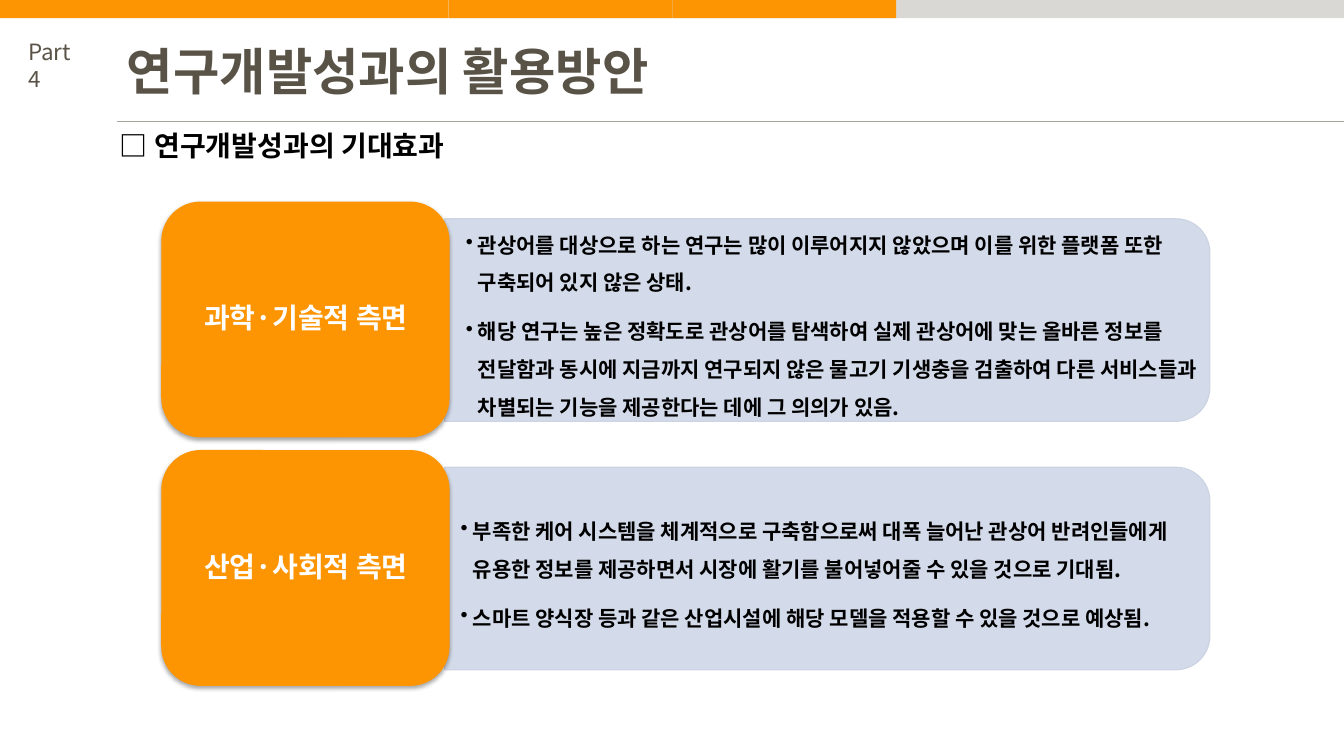
from dataclasses import dataclass

from lxml import etree
from pptx import Presentation
from pptx import util as u
from pptx.dml.color import RGBColor
from pptx.enum import shapes, text
from pptx.oxml import ns

Inches, Pt = u.Inches, u.Pt


@dataclass(frozen=True)
class Theme:
    font: str = "Noto Sans CJK KR"
    accent: str = "FD9401"
    track: str = "D9D8D5"
    heading: str = "595347"
    rule: str = "A6A39C"
    panel: str = "CFD7E7"
    panel_edge: str = "C9D1E1"
    black: str = "000000"
    white: str = "FFFFFF"
    title_size: int = 36
    label_size: int = 20
    part_size: int = 16
    body_size: int = 15


THEME = Theme()

ASPECTS = [
    ("과학·기술적 측면", 4.56, 7.38, [
        "관상어를 대상으로 하는 연구는 많이 이루어지지 않았으며 이를 위한 플랫폼 또한 "
        "구축되어 있지 않은 상태.",
        "해당 연구는 높은 정확도로 관상어를 탐색하여 실제 관상어에 맞는 올바른 정보를 "
        "전달함과 동시에 지금까지 연구되지 않은 물고기 기생충을 검출하여 다른 "
        "서비스들과 차별되는 기능을 제공한다는 데에 그 의의가 있음.",
    ]),
    ("산업·사회적 측면", 4.51, 7.42, [
        "부족한 케어 시스템을 체계적으로 구축함으로써 대폭 늘어난 관상어 반려인들에게 "
        "유용한 정보를 제공하면서 시장에 활기를 불어넣어줄 수 있을 것으로 기대됨.",
        "스마트 양식장 등과 같은 산업시설에 해당 모델을 적용할 수 있을 것으로 예상됨.",
    ]),
]


def rgb(color):
    return RGBColor.from_string(color)


def add_xml(parent, tag, **attributes):
    return etree.SubElement(parent, ns.qn(tag), attributes)


def add_alpha(fill, percent):
    """Make a solid fill partly transparent."""
    color = fill._xPr.find(ns.qn("a:solidFill"))[0]
    add_xml(color, "a:alpha", val=str(percent * 1000))


def add_block(slide, kind, left, top, width, height, color):
    shape = slide.shapes.add_shape(
        kind, Inches(left), Inches(top), Inches(width), Inches(height))
    shape.shadow.inherit = False
    shape.fill.solid()
    shape.fill.fore_color.rgb = rgb(color)
    shape.line.fill.background()
    return shape


def style_paragraph(paragraph, size, color, bold):
    font = paragraph.font
    font.name = THEME.font
    font.size = Pt(size)
    font.bold = bold
    font.color.rgb = rgb(color)
    add_xml(font._rPr, "a:ea", typeface=THEME.font)


def add_bullet(paragraph):
    properties = paragraph._p.get_or_add_pPr()
    properties.set("marL", str(Inches(0.12)))
    properties.set("indent", str(-Inches(0.12)))
    color = add_xml(properties, "a:buClr")
    add_xml(color, "a:srgbClr", val=THEME.black)
    add_xml(properties, "a:buChar", char="•")


def add_text(slide, lines, left, top, width, height, size, color, bold=True,
             wrap=True, spacing=None, insets=(0.1, 0.05), middle=False,
             centered=False, bullets=False):
    box = slide.shapes.add_textbox(
        Inches(left), Inches(top), Inches(width), Inches(height))
    frame = box.text_frame
    frame.word_wrap = wrap
    frame.margin_left = frame.margin_right = Inches(insets[0])
    frame.margin_top = frame.margin_bottom = Inches(insets[1])
    if middle:
        frame.vertical_anchor = text.MSO_ANCHOR.MIDDLE
    for index, line in enumerate(lines):
        paragraph = frame.add_paragraph() if index else frame.paragraphs[0]
        paragraph.text = line
        if bullets:
            add_bullet(paragraph)
        if spacing:
            paragraph.line_spacing = spacing
        if index:
            paragraph.space_before = Pt(8)
        if centered:
            paragraph.alignment = text.PP_ALIGN.CENTER
        style_paragraph(paragraph, size, color, bold)


def add_progress_bar(slide):
    rectangle = shapes.MSO_SHAPE.RECTANGLE
    add_block(slide, rectangle, 4.45, 0, 8.88, 0.18, THEME.track)
    for step in range(4):
        add_block(slide, rectangle, step * 2.223, 0, 2.22, 0.18, THEME.accent)


def add_rule(slide):
    rule = slide.shapes.add_connector(
        shapes.MSO_CONNECTOR.STRAIGHT,
        Inches(1.16), Inches(1.2), Inches(13.33), Inches(1.2))
    rule.line.color.rgb = rgb(THEME.rule)
    rule.line.width = Pt(0.5)
    add_xml(rule._element.spPr, "a:effectLst")


def add_panel(slide, top):
    """Panel rounded on its right side: a top-rounded shape turned 90°."""
    length, thickness = 7.59, 2.01
    center_x, center_y = 8.205, top + 1.175
    panel = add_block(slide, shapes.MSO_SHAPE.ROUND_2_SAME_RECTANGLE,
                      center_x - thickness / 2, center_y - length / 2,
                      thickness, length, THEME.panel)
    panel.rotation = 90
    panel.adjustments[0] = 0.167
    panel.line.color.rgb = rgb(THEME.panel_edge)
    panel.line.width = Pt(0.75)
    add_alpha(panel.fill, 90)
    add_alpha(panel.line.fill, 90)


def add_label(slide, label, top):
    card = add_block(slide, shapes.MSO_SHAPE.ROUNDED_RECTANGLE,
                     1.6, top, 2.86, 2.34, THEME.accent)
    card.adjustments[0] = 0.167
    effects = card._element.spPr.find(ns.qn("a:effectLst"))
    shadow = add_xml(effects, "a:outerShdw", blurRad=str(Pt(3.1)),
                     dist=str(Pt(1.8)), dir="5400000", rotWithShape="0")
    color = add_xml(shadow, "a:srgbClr", val=THEME.black)
    add_xml(color, "a:alpha", val="35000")
    add_text(slide, [label], 1.66, top + 0.11, 2.75, 2.12, THEME.label_size,
             THEME.white, spacing=0.9, insets=(0.07, 0.04), middle=True,
             centered=True)


def main():
    presentation = Presentation()
    presentation.slide_width = Inches(13.33)
    presentation.slide_height = Inches(7.5)
    slide = presentation.slides.add_slide(presentation.slide_layouts[6])

    # Header
    add_progress_bar(slide)
    add_text(slide, ["Part 4"], 0.18, 0.33, 0.74, 0.37, THEME.part_size,
             THEME.heading, bold=False)
    add_text(slide, ["연구개발성과의 활용방안"], 1.16, 0.35, 5.51, 0.71,
             THEME.title_size, THEME.heading, wrap=False)
    add_rule(slide)
    add_text(slide, ["□ 연구개발성과의 기대효과"], 1.09, 1.06, 11.49, 0.61,
             THEME.label_size, THEME.black, spacing=1.5)

    # Expected effects, one row per aspect
    for row, (label, left, width, effects) in enumerate(ASPECTS):
        top = 2 + row * 2.465
        add_panel(slide, top)
        add_text(slide, effects, left, top + 0.26, width, 1.82,
                 THEME.body_size, THEME.black, spacing=1.5,
                 insets=(0.06, 0.03), middle=True, bullets=True)
        add_label(slide, label, top)

    presentation.save("out.pptx")


if __name__ == "__main__":
    main()
